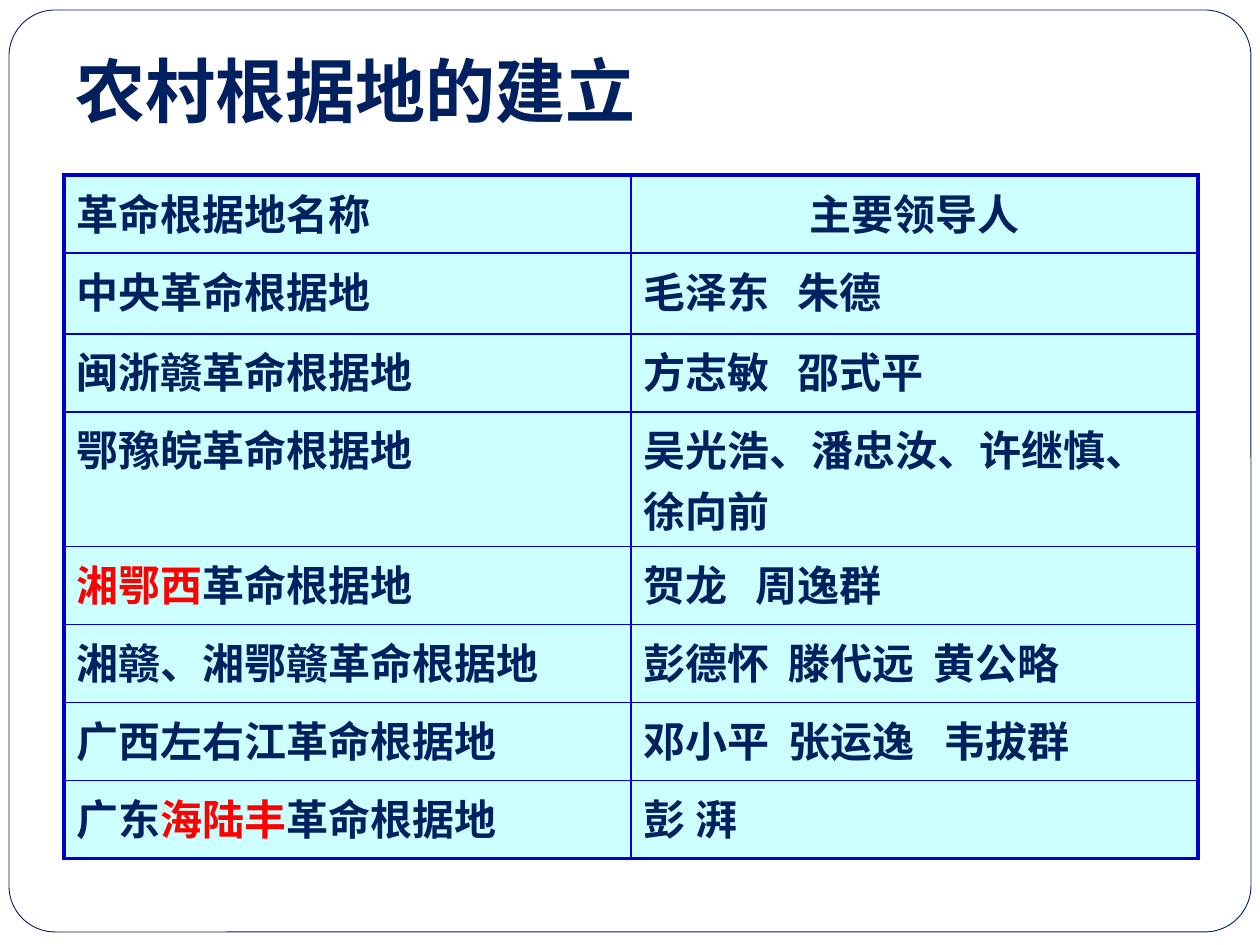
from dataclasses import dataclass

from lxml import etree
from pptx import Presentation
from pptx.dml.color import RGBColor
from pptx.enum.shapes import MSO_SHAPE
from pptx.enum.text import MSO_ANCHOR, MSO_AUTO_SIZE, PP_ALIGN
from pptx.oxml.ns import qn
from pptx.util import Emu, Pt

ROUND_RECT = MSO_SHAPE.ROUNDED_RECTANGLE
BOTTOM = MSO_ANCHOR.BOTTOM
NO_FIT = MSO_AUTO_SIZE.NONE
LEFT, CENTER = PP_ALIGN.LEFT, PP_ALIGN.CENTER

PX_PER_INCH = 126
FONT = "Noto Sans CJK JP"
NAVY, RED, WHITE = "002060", "FF0000", "FFFFFF"
CELL_FILL, BORDER = "CCFFFF", "0000CC"
OUTER, INNER = 2.25, 1


@dataclass(frozen=True)
class BaseArea:
    name: str
    leaders: str
    height: int = 78
    red: str = ""
    stops: tuple[int, ...] = ()
    leaders_align: PP_ALIGN = LEFT


# Leaders are set apart by tabs, at the stops given in px
AREAS = [
    BaseArea("革命根据地名称", "主要领导人", leaders_align=CENTER),
    BaseArea("中央革命根据地", "毛泽东\t朱德", height=81, stops=(154,)),
    BaseArea("闽浙赣革命根据地", "方志敏\t邵式平", stops=(154,)),
    BaseArea("鄂豫皖革命根据地", "吴光浩、潘忠汝、许继慎、徐向前", height=134),
    BaseArea("湘鄂西革命根据地", "贺龙\t周逸群", red="湘鄂西", stops=(112,)),
    BaseArea("湘赣、湘鄂赣革命根据地", "彭德怀\t滕代远\t黄公略", stops=(145, 290)),
    BaseArea("广西左右江革命根据地", "邓小平\t张运逸\t韦拔群", stops=(145, 300)),
    BaseArea("广东海陆丰革命根据地", "彭 湃", red="海陆丰"),
]


def px(length: int) -> Emu:
    return Emu(round(length * 914400 / PX_PER_INCH))


def color(value: str) -> RGBColor:
    return RGBColor.from_string(value)


def set_format(target, values: dict) -> None:
    for name, value in values.items():
        setattr(target, name, value)


def place(shape, left: int, top: int, width: int, height: int) -> None:
    set_format(shape, {"left": px(left), "top": px(top),
                       "width": px(width), "height": px(height)})


def add_span(para, text: str, size: int, tint: str = NAVY) -> None:
    span = para.add_run()
    span.text = text
    set_format(span.font, {"name": FONT, "size": Pt(size), "bold": True})
    span.font.color.rgb = color(tint)
    east_asian = etree.SubElement(span.font._element, qn("a:ea"))
    east_asian.set("typeface", FONT)


def add_tab_stops(para, stops: tuple[int, ...]) -> None:
    if stops:
        tabs = etree.SubElement(para._p.get_or_add_pPr(), qn("a:tabLst"))
        for stop in stops:
            etree.SubElement(tabs, qn("a:tab"), pos=str(px(stop)), algn="l")


def set_borders(cell, widths: dict[str, float]) -> None:
    properties = cell._tc.get_or_add_tcPr()
    for index, (side, width) in enumerate(widths.items()):
        line = etree.Element(qn(f"a:ln{side}"), w=str(Pt(width)))
        fill = etree.SubElement(line, qn("a:solidFill"))
        etree.SubElement(fill, qn("a:srgbClr"), val=BORDER)
        properties.insert(index, line)


def add_frame(page) -> None:
    frame = page.shapes.add_shape(ROUND_RECT, 0, 0, 0, 0)
    place(frame, 9, 10, 1242, 922)
    frame.adjustments[0] = 0.05
    frame.shadow.inherit = False
    frame.fill.solid()
    frame.fill.fore_color.rgb = color(WHITE)
    frame.line.color.rgb = color(NAVY)
    frame.line.width = Pt(0.5)
    page.shapes._spTree.insert(2, frame._element)  # behind the title


def add_title(page, text: str) -> None:
    title = page.shapes.title
    place(title, 63, 38, 1134, 107)
    box = title.text_frame
    set_format(box, {"auto_size": NO_FIT, "word_wrap": True,
                     "vertical_anchor": BOTTOM, "margin_bottom": px(13)})
    box.paragraphs[0].alignment = LEFT
    add_span(box.paragraphs[0], text, 40)


def fill_cell(cell, area: BaseArea, column: int) -> None:
    para = cell.text_frame.paragraphs[0]
    if column == 1:
        add_tab_stops(para, area.stops)
        para.alignment = area.leaders_align
        add_span(para, area.leaders, 24)
        return
    before, red, after = area.name.partition(area.red) if area.red else (area.name, "", "")
    for text, tint in ((before, NAVY), (red, RED), (after, NAVY)):
        if text:
            add_span(para, text, 24, tint)


def add_area_table(page, areas: list[BaseArea]) -> None:
    height = sum(area.height for area in areas)
    table = page.shapes.add_table(len(areas), 2, px(64), px(175), px(1134), px(height)).table
    set_format(table, {"first_row": False, "horz_banding": False})
    for column in table.columns:
        column.width = px(567)
    last = len(areas) - 1
    for row, area in enumerate(areas):
        table.rows[row].height = px(area.height)
        for column in range(2):
            cell = table.cell(row, column)
            cell.fill.solid()
            cell.fill.fore_color.rgb = color(CELL_FILL)
            set_borders(cell, {
                "L": OUTER if column == 0 else INNER,
                "R": OUTER if column == 1 else INNER,
                "T": OUTER if row == 0 else INNER,
                "B": OUTER if row == last else INNER,
            })
            fill_cell(cell, area, column)


def main() -> None:
    deck = Presentation()
    set_format(deck, {"slide_width": px(1260), "slide_height": px(945)})
    page = deck.slides.add_slide(deck.slide_layouts[5])
    add_frame(page)
    add_title(page, "农村根据地的建立")
    add_area_table(page, AREAS)
    deck.save("out.pptx")


if __name__ == "__main__":
    main()
